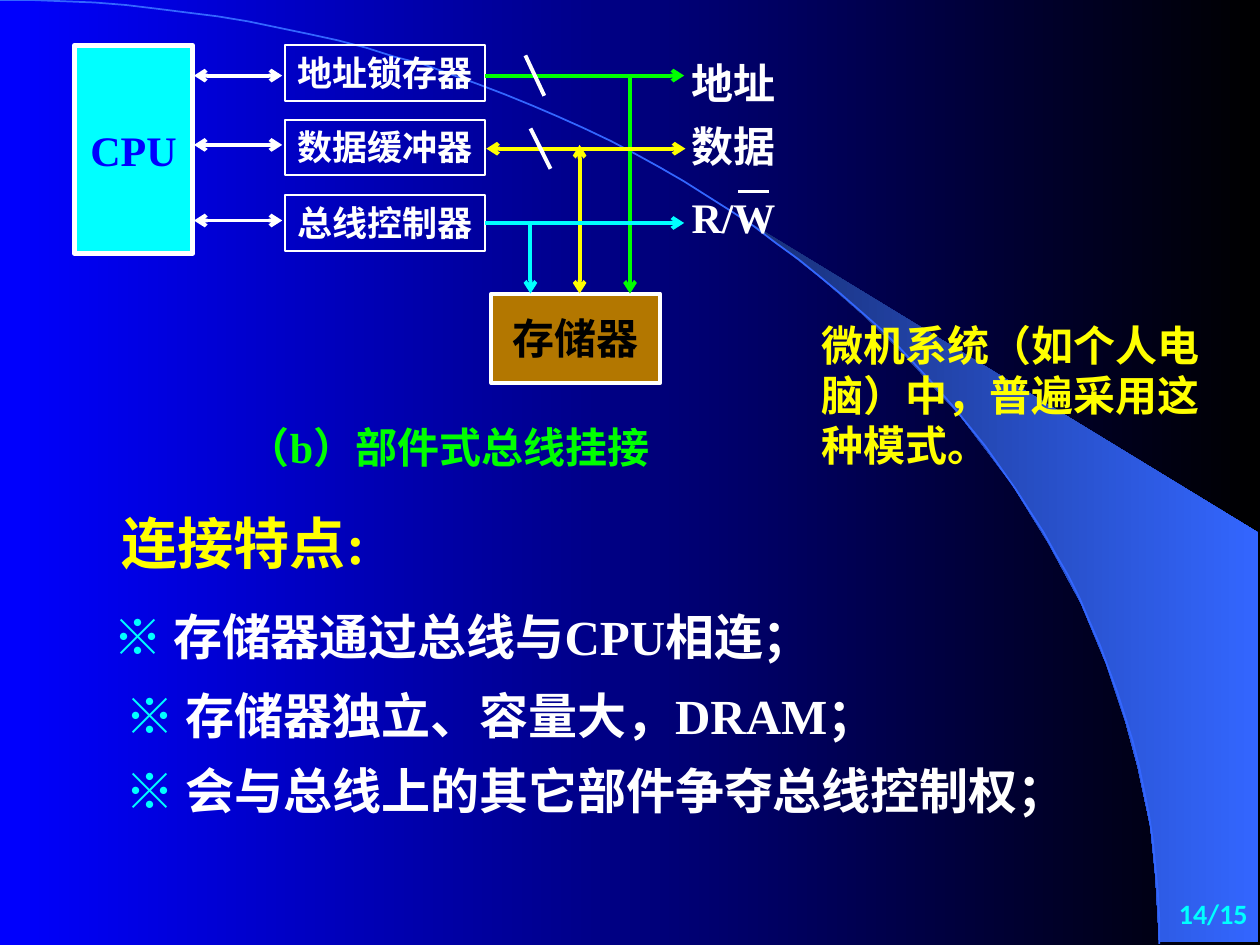
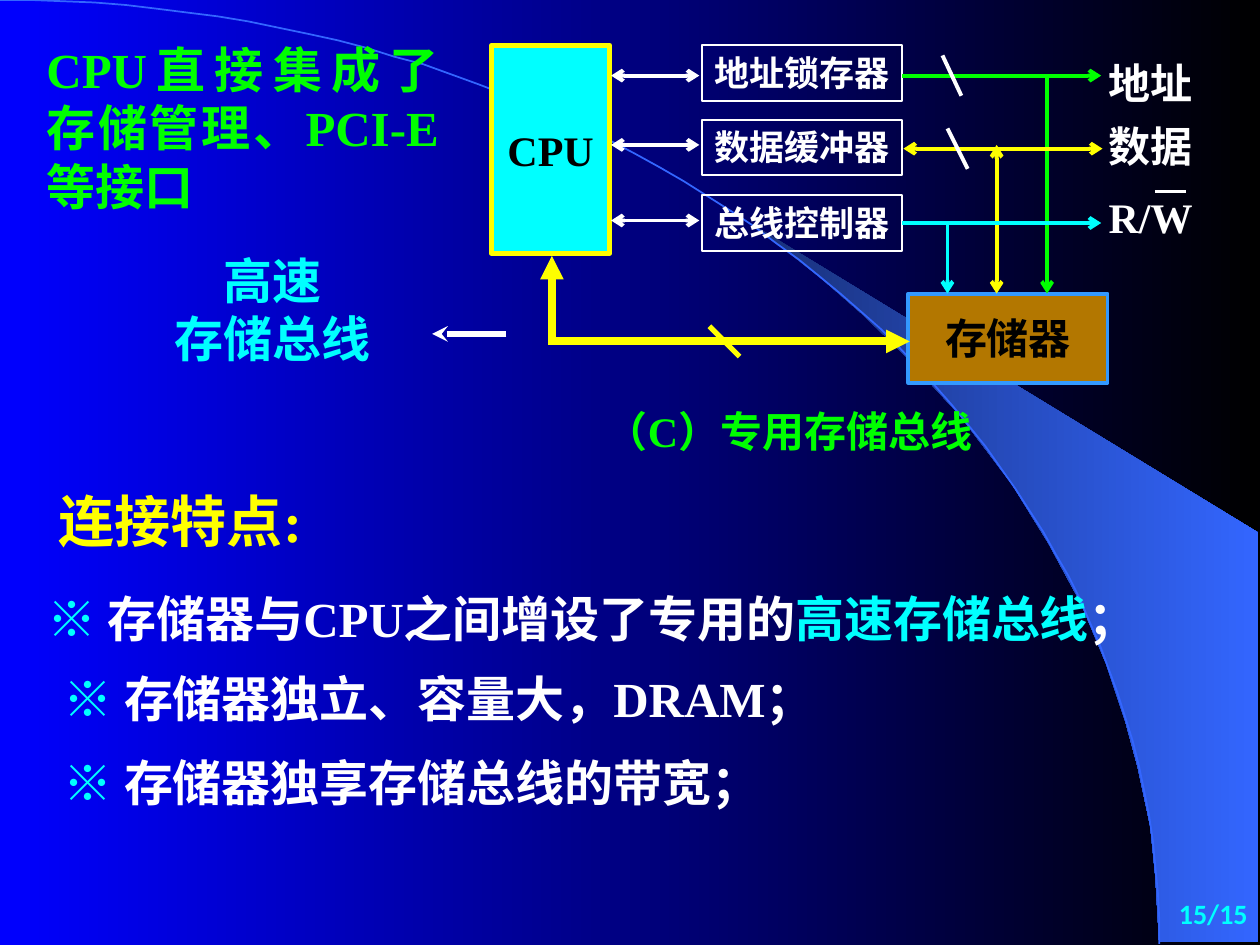
from dataclasses import dataclass

import pptx
import pptx.util
from lxml import etree
from pptx.dml.color import RGBColor
from pptx.enum.shapes import MSO_CONNECTOR, MSO_SHAPE
from pptx.enum.text import MSO_ANCHOR, MSO_AUTO_SIZE, PP_ALIGN
from pptx.oxml.ns import qn

PX = 9144  # EMU per px, 100 px to the inch


@dataclass(frozen=True)
class Theme:
    white: str = "FFFFFF"
    black: str = "000000"
    blue: str = "0000FF"
    cyan: str = "00FFFF"
    green: str = "00FF00"
    yellow: str = "FFFF00"
    brown: str = "B37700"
    sky: str = "3399FF"
    arc: str = "3366FF"
    beam: str = "182F76"
    latin: str = "Times New Roman"
    chinese: str = "Noto Sans CJK SC"
    number: str = "Calibri"
    heading: int = 32
    body: int = 28
    label: int = 24
    unit: int = 20
    footer: int = 16
    leading: float = 1.19


T = Theme()
rgb = RGBColor.from_string


def box(slide, at, content, size, colour=T.white, fill=None, border=None, width=1,
        align=PP_ALIGN.LEFT, middle=False, font=T.latin):
    """Text, framed if border is given; content is a string or (text, colour) runs."""
    place = [v * PX for v in at]
    if border:
        shape = slide.shapes.add_shape(MSO_SHAPE.RECTANGLE, *place)
        shape.shadow.inherit = False
        shape.line.color.rgb = rgb(border)
        shape.line.width = pptx.util.Pt(width)
        if fill:
            shape.fill.solid()
            shape.fill.fore_color.rgb = rgb(fill)
        else:
            shape.fill.background()
    else:
        shape = slide.shapes.add_textbox(*place)
    frame = shape.text_frame
    frame.word_wrap = not border
    frame.auto_size = MSO_AUTO_SIZE.NONE
    frame.vertical_anchor = MSO_ANCHOR.MIDDLE if middle else MSO_ANCHOR.TOP
    if isinstance(content, str):
        frame.text = content
    else:
        for words, tint in content:
            run = frame.paragraphs[0].add_run()
            run.text = words
            run.font.color.rgb = rgb(tint)
    for paragraph in frame.paragraphs:
        paragraph.alignment = align
        if not paragraph.text.isascii():
            paragraph.line_spacing = pptx.util.Pt(round(size * T.leading, 1))
        paragraph.font.name = font
        paragraph.font.size = pptx.util.Pt(size)
        paragraph.font.bold = True
        paragraph.font.color.rgb = rgb(colour)
    for defaults in shape.element.iter(qn("a:defRPr")):
        defaults.find(qn("a:latin")).addnext(
            etree.Element(qn("a:ea"), typeface=T.chinese))


def line(slide, ends, colour, width=2.25, head=None, tail=None):
    connector = slide.shapes.add_connector(
        MSO_CONNECTOR.STRAIGHT, *[v * PX for v in ends])
    connector.line.color.rgb = rgb(colour)
    connector.line.width = pptx.util.Pt(width)
    properties = connector.element.spPr
    outline = properties.find(qn("a:ln"))
    for tag, kind in (("a:headEnd", head), ("a:tailEnd", tail)):
        if kind:
            etree.SubElement(outline, qn(tag), type=kind)
    etree.SubElement(properties, qn("a:effectLst"))


# Backdrop outlines
BEAM = [(920, 748), (999, 748), (999, 423), (589, 173), (624, 199), (653, 222),
        (685, 250), (716, 280), (762, 330), (803, 384), (832, 431), (858, 479),
        (878, 527), (893, 572), (903, 609), (913, 656), (917, 696)]
STEPS = 60
ARC = []
for step in range(STEPS + 1):
    t = step / STEPS
    u = 1 - t
    ARC.append((round(3 * u * u * t * 508 + 3 * u * t * t * 920 + t**3 * 920, 2),
                round(3 * u * t * t * 335 + t**3 * 749, 2)))

# What differs between the two bus diagrams
DIAGRAMS = [
    dict(page="14/15", shift=0, cpu_border=T.white, cpu_text=T.blue,
         memory_width=134, memory_border=T.white,
         caption="（b）部件式总线挂接", caption_at=(187, 330, 400, 50),
         heading_at=(87, 399, 260, 64),
         points=[((80, 477, 700, 57), [("存储器通过总线与CPU相连；", T.white)]),
                 ((90, 540, 700, 57), [("存储器独立、容量大，DRAM；", T.white)]),
                 ((90, 599, 819, 57), [("会与总线上的其它部件争夺总线控制权；", T.white)])]),
    dict(page="15/15", shift=331, cpu_border=T.yellow, cpu_text=T.black,
         memory_width=158, memory_border=T.sky,
         caption="（C）专用存储总线", caption_at=(471, 317, 400, 50),
         heading_at=(37, 382, 260, 64),
         points=[((28, 463, 950, 57), [("存储器与CPU之间增设了专用的", T.white),
                                       ("高速存储总线", T.cyan), ("；", T.white)]),
                 ((41, 526, 700, 57), [("存储器独立、容量大，DRAM；", T.white)]),
                 ((41, 593, 700, 57), [("存储器独享存储总线的带宽；", T.white)])]),
]

prs = pptx.Presentation()
prs.slide_width, prs.slide_height = 1000 * PX, 750 * PX
slides = []

for diagram in DIAGRAMS:
    slide = prs.slides.add_slide(prs.slide_layouts[6])
    slides.append(slide)
    x = diagram["shift"]

    # Backdrop: gradient, beam and arc
    builder = slide.shapes.build_freeform(*BEAM[0], scale=PX)
    builder.add_line_segments(BEAM[1:], close=True)
    beam = builder.convert_to_shape()
    beam.shadow.inherit = False
    beam.line.fill.background()
    for fill, colours in ((slide.background.fill, (T.blue, T.black)),
                          (beam.fill, (T.beam, T.arc))):
        fill.gradient()
        fill.gradient_angle = 0
        for stop, colour in zip(fill.gradient_stops, colours):
            stop.color.rgb = rgb(colour)
    builder = slide.shapes.build_freeform(*ARC[0], scale=PX)
    builder.add_line_segments(ARC[1:], close=False)
    arc = builder.convert_to_shape()
    arc.shadow.inherit = False
    arc.fill.background()
    arc.line.color.rgb = rgb(T.arc)
    arc.line.width = pptx.util.Pt(1)

    # CPU and memory
    box(slide, (x + 59, 36, 94, 165), "CPU", T.label, diagram["cpu_text"], T.cyan,
        diagram["cpu_border"], 3, PP_ALIGN.CENTER, middle=True)
    box(slide, (x + 390, 233, diagram["memory_width"], 71), "存储器", T.label, T.black,
        T.brown, diagram["memory_border"], 2.25, PP_ALIGN.CENTER, middle=True)

    # Bus rows: unit, link to the CPU, bus line, signal, drop to memory
    for unit, top, link_y, bus_x, bus_y, colour, head, signal, signal_y, drop_x, drop_y in (
            ("地址锁存器", 36, 60, 385, 60, T.green, None, "地址", 41, 500, 60),
            ("数据缓冲器", 95, 115, 386, 118, T.yellow, "arrow", "数据", 91, 460, 115),
            ("总线控制器", 155, 175, 385, 177, T.cyan, None, "R/W", 147, 421, 178)):
        box(slide, (x + 226, top, 159, 44), unit, T.unit, border=T.white)
        line(slide, (x + 154, link_y, x + 224, link_y), T.white,
             head="arrow", tail="arrow")
        line(slide, (x + bus_x, bus_y, x + bus_x + 158, bus_y), colour,
             head=head, tail="arrow")
        box(slide, (x + 539, signal_y, 110, 50), signal, T.label)
        line(slide, (x + drop_x, drop_y, x + drop_x, 233), colour,
             head=head, tail="arrow")

    # Bus-width slashes and the bar over W
    for ends in ((417, 44, 432, 76), (421, 102, 437, 134), (586, 152, 610, 152)):
        line(slide, (x + ends[0], ends[1], x + ends[2], ends[3]), T.white)

    # Caption, features and page number
    box(slide, diagram["caption_at"], diagram["caption"], T.label, T.green)
    box(slide, diagram["heading_at"], "连接特点:", T.heading, T.yellow)
    for at, words in diagram["points"]:
        box(slide, at, [("※ ", T.cyan)] + words, T.body)
    box(slide, (878, 700, 122, 50), diagram["page"], T.footer, T.cyan,
        align=PP_ALIGN.RIGHT, middle=True, font=T.number)

component_bus, dedicated_bus = slides

# Remark on the component bus
box(component_bus, (642, 249, 331, 130), "微机系统（如个人电脑）中，普遍采用这种模式。",
    T.label, T.yellow)

# Dedicated memory bus and its remarks
line(dedicated_bus, (438, 203, 438, 274), T.yellow, 4.5, head="triangle")
line(dedicated_bus, (438, 271, 722, 271), T.yellow, 4.5, tail="triangle")
line(dedicated_bus, (563, 259, 587, 283), T.yellow, 3)
line(dedicated_bus, (402, 265, 343, 265), T.white, 3, tail="stealth")
box(dedicated_bus, (122, 194, 189, 104), "高速\n存储总线", T.body, T.cyan,
    align=PP_ALIGN.CENTER, font=T.chinese)
box(dedicated_bus, (27, 27, 331, 150), "CPU直接集成了存储管理、PCI-E等接口",
    T.body, T.green, align=PP_ALIGN.JUSTIFY)

prs.save("out.pptx")
